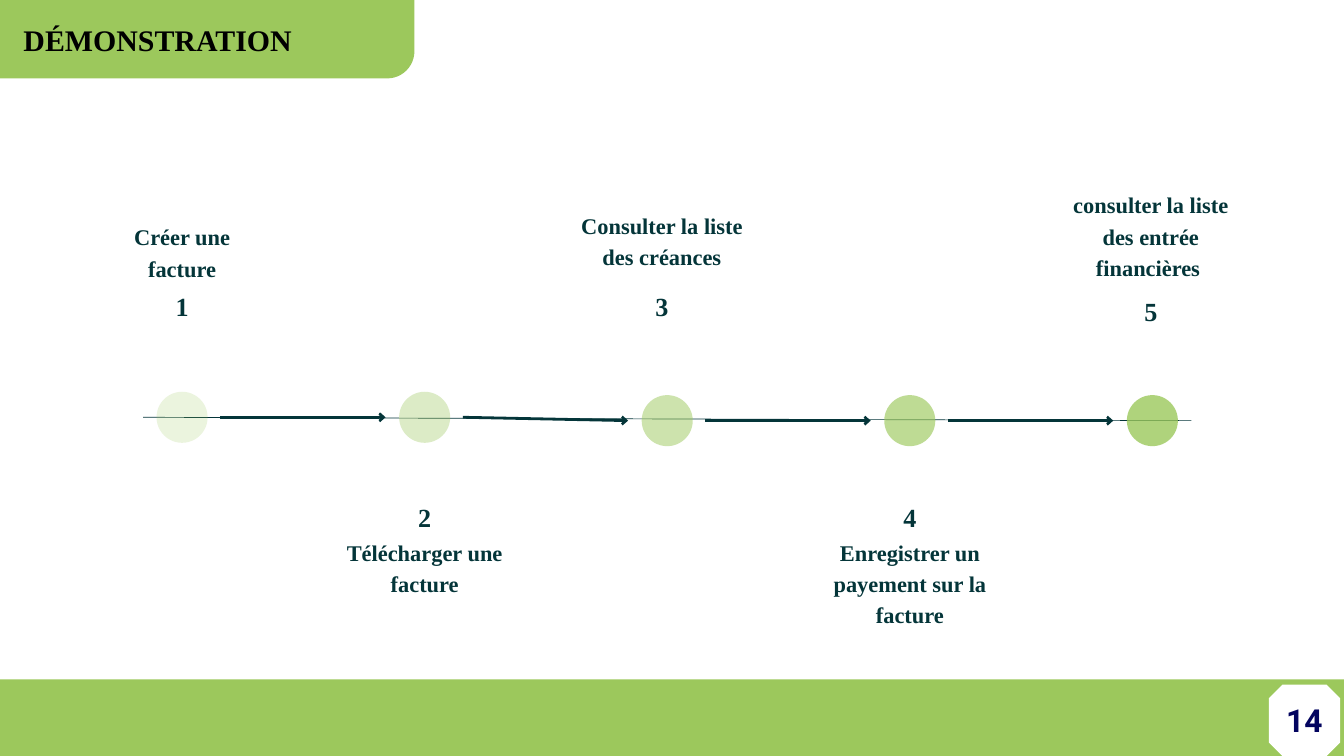
from dataclasses import dataclass

from lxml.etree import SubElement
from pptx import Presentation
from pptx.dml.color import RGBColor
from pptx.enum.shapes import MSO_CONNECTOR, MSO_SHAPE
from pptx.enum.text import MSO_ANCHOR, PP_ALIGN
from pptx.oxml.ns import qn
from pptx.util import Pt

HUES = {"green": "9CC85C", "ink": "043539", "white": "FFFFFF",
        "black": "000000", "navy": "03045F"}
SERIF = "Times New Roman"
FIRST, PITCH, DOT = 195.1, 259.9, 54.7


@dataclass
class Step:
    label: str
    mid: float
    dot_y: float
    num_top: float
    num_wide: float
    top: float
    wide: float
    high: float


@dataclass
class Style:
    size: float
    lead: float
    hue: str = "ink"
    font: str = SERIF
    align: PP_ALIGN = PP_ALIGN.CENTER


STEPS = [
    Step("Créer une facture", 195.1, 447.1, 306, 168.5, 234.7, 168.5, 67),
    Step("Télécharger une facture", 455, 447.1, 531.4, 168.5, 572.4, 239, 67),
    Step("Consulter la liste des créances", 709.2, 450.7, 306, 187.2, 222.5, 187.2, 67),
    Step("Enregistrer un payement sur la facture", 974.9, 450.7, 531.4, 168.5, 572.4, 239, 101),
    Step("consulter la liste des entrée financières ", 1233, 450.7, 311, 187.2, 200.2, 187.2, 101),
]


def color(hue: str) -> RGBColor:
    return RGBColor.from_string(HUES[hue])


def add_text(slide, text: str, box: tuple, style: Style, pad: float = 0):
    shape = slide.shapes.add_textbox(*map(Pt, box))
    frame = shape.text_frame
    frame.word_wrap = True
    frame.margin_left = frame.margin_right = Pt(pad)
    frame.margin_top = frame.margin_bottom = Pt(pad)
    para = frame.paragraphs[0]
    para.alignment = style.align
    para.line_spacing = Pt(style.lead)
    run = para.add_run()
    run.text = text
    run.font.name = style.font
    run.font.size = Pt(style.size)
    run.font.bold = True
    run.font.color.rgb = color(style.hue)
    return frame


def add_form(slide, kind: MSO_SHAPE, box: tuple, hue: str):
    shape = slide.shapes.add_shape(kind, *map(Pt, box))
    shape.shadow.inherit = False
    shape.fill.solid()
    shape.fill.fore_color.rgb = color(hue)
    shape.line.fill.background()
    return shape


def add_line(slide, start: tuple, end: tuple, width: float, arrow: bool = False) -> None:
    line = slide.shapes.add_connector(
        MSO_CONNECTOR.STRAIGHT, *map(Pt, (*start, *end)))
    line.line.color.rgb = color("ink")
    line.line.width = Pt(width)
    if arrow:
        SubElement(line.line._get_or_add_ln(), qn("a:tailEnd"),
                   type="arrow", w="med", len="sm")
    SubElement(line._element.spPr, qn("a:effectLst"))


def add_step(slide, index: int, step: Step) -> None:
    left = step.mid - step.num_wide / 2
    add_text(slide, str(index + 1), (left, step.num_top, step.num_wide, 40.3),
             Style(28, 39.2))
    left = step.mid - step.wide / 2
    add_text(slide, step.label, (left, step.top, step.wide, step.high),
             Style(24, 33.6))
    left = FIRST + index * PITCH - DOT / 2
    dot = add_form(slide, MSO_SHAPE.OVAL,
                   (left, step.dot_y - DOT / 2, DOT, DOT), "green")
    tint = dot.fill._xPr.find(qn("a:solidFill"))[0]
    SubElement(tint, qn("a:alpha"), val=str(20000 + 15000 * index))


def main() -> None:
    deck = Presentation()
    deck.slide_width, deck.slide_height = Pt(1440), Pt(810)
    slide = deck.slides.add_slide(deck.slide_layouts[6])
    slide.background.fill.solid()
    slide.background.fill.fore_color.rgb = color("white")

    add_line(slide, (153.4, 447.1), (1276.6, 450.7), 0.75)
    for index, step in enumerate(STEPS):
        add_step(slide, index, step)

    foot = add_form(slide, MSO_SHAPE.ROUNDED_RECTANGLE, (-29, 728, 1573, 154), "green")
    foot.adjustments[0] = 0.19

    for index, (step, after) in enumerate(zip(STEPS, STEPS[1:])):
        mid = FIRST + index * PITCH
        add_line(slide, (mid + 41, step.dot_y), (mid + 218, after.dot_y), 3, True)

    head = add_form(slide, MSO_SHAPE.ROUNDED_RECTANGLE, (-84, -98, 528, 182), "green")
    head.adjustments[0] = 0.16
    add_text(slide, "DÉMONSTRATION", (25.2, 14.4, 648, 43.2),
             Style(32, 46.7, "black", align=PP_ALIGN.LEFT))

    badge = add_form(slide, MSO_SHAPE.OCTAGON, (1359.4, 733.6, 76.4, 76.4), "white")
    badge.adjustments[0] = 0.19
    page = add_text(slide, "14", (1365, 733, 65, 70.6),
                    Style(34, 47.6, "navy", "Roboto"), 3.6)
    page.vertical_anchor = MSO_ANCHOR.MIDDLE

    deck.save("out.pptx")


if __name__ == "__main__":
    main()
